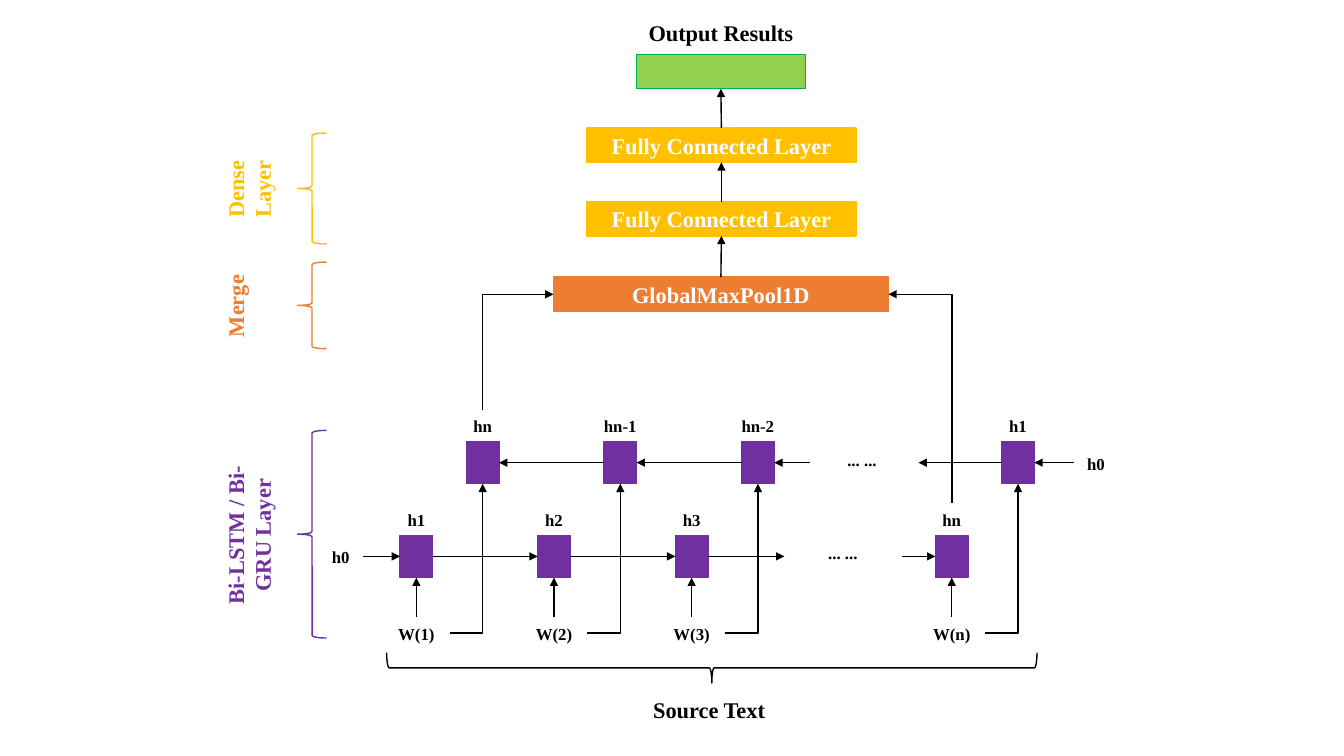
from typing import NamedTuple, Optional

from lxml.etree import SubElement
from pptx import Presentation
from pptx.dml.color import RGBColor
from pptx.enum.shapes import MSO_CONNECTOR as Link, MSO_SHAPE as Preset
from pptx.enum.text import MSO_ANCHOR as Anchor, MSO_AUTO_SIZE as AutoSize, PP_ALIGN as Align
from pptx.oxml.ns import qn
from pptx.util import Inches, Pt

# Grid: every column and row is a tenth of an inch
GRID = 0.1
COLUMNS, ROWS = 133.3, 75
FONT = "Times New Roman"
BLACK, WHITE, PURPLE = "000000", "FFFFFF", "7030A0"
ORANGE, GOLD, LIME, GREEN = "ED7D31", "FFC000", "92D050", "00B050"
TOP, LEFT, BOTTOM, RIGHT = range(4)


class Area(NamedTuple):
    column: float
    row: float
    columns: float
    rows: float


class Point(NamedTuple):
    column: float
    row: float


class Side(NamedTuple):
    shape: object
    site: int


class Bar(NamedTuple):
    area: Area
    fill: str
    line: str
    text: str = ""


class Layer(NamedTuple):
    text: str
    label: Area
    brace: Area
    color: str


class Step(NamedTuple):
    center: float
    word: str
    forward: str
    backward: str


def grid(*counts: float) -> list:
    return [Inches(count * GRID) for count in counts]


def color(value: str) -> RGBColor:
    return RGBColor.from_string(value)


def write(shape, text: str, size: float, ink: str, align=Align.CENTER) -> None:
    para = shape.text_frame.paragraphs[0]
    para.text = text
    para.alignment = align
    for span in para.runs:
        span.font.name, span.font.size, span.font.bold = FONT, Pt(size), True
        span.font.color.rgb = color(ink)


def add_label(text: str, area: Area, size: float = 12, ink: str = BLACK,
              align=Align.CENTER, upright: bool = False):
    box = page.shapes.add_textbox(*grid(*area))
    box.text_frame.word_wrap = True
    box.text_frame.auto_size = AutoSize.SHAPE_TO_FIT_TEXT
    if upright:
        box.element.txBody.bodyPr.set("vert", "vert270")
    write(box, text, size, ink, align)
    return box


def add_outline(preset, area: Area, line: str, fill: Optional[str] = None):
    shape = page.shapes.add_shape(preset, *grid(*area))
    shape.shadow.inherit = False
    if fill:
        shape.fill.solid()
        shape.fill.fore_color.rgb = color(fill)
    else:
        shape.fill.background()
    shape.line.color.rgb = color(line)
    shape.line.width = Pt(1)
    return shape


def add_bar(bar: Bar):
    shape = add_outline(Preset.RECTANGLE, bar.area, bar.line, bar.fill)
    if bar.text:
        shape.text_frame.vertical_anchor = Anchor.MIDDLE
        write(shape, bar.text, 16, WHITE)
    return shape


def style_arrow(arrow) -> None:
    arrow.line.color.rgb = color(BLACK)
    arrow.line.width = Pt(1)
    SubElement(arrow.line._get_or_add_ln(), qn("a:tailEnd"), type="triangle")
    SubElement(arrow.element.spPr, qn("a:effectLst"))


def add_arrow(start, end) -> None:
    """Draw a straight arrow; each end is a free point or a side of a shape."""
    first = grid(*start) if isinstance(start, Point) else [0, 0]
    last = grid(*end) if isinstance(end, Point) else [0, 0]
    arrow = page.shapes.add_connector(Link.STRAIGHT, *first, *last)
    if isinstance(start, Side):
        arrow.begin_connect(start.shape, start.site)
    if isinstance(end, Side):
        arrow.end_connect(end.shape, end.site)
    style_arrow(arrow)


def add_elbow(start: Point, end: Point, rise_first: bool = False) -> None:
    """Draw a one-corner arrow, turned a quarter when it rises first."""
    ends = [start, end]
    if rise_first:
        middle = Point((start.column + end.column) / 2, (start.row + end.row) / 2)
        ends = [Point(middle.column - (spot.row - middle.row),
                      middle.row + (spot.column - middle.column)) for spot in ends]
    arrow = page.shapes.add_connector(Link.ELBOW, *grid(*ends[0], *ends[1]))
    properties = arrow.element.spPr
    properties.find(qn("a:prstGeom")).set("prst", "bentConnector2")
    if rise_first:
        properties.find(qn("a:xfrm")).set("rot", str(270 * 60000))
    style_arrow(arrow)


deck = Presentation()
deck.slide_width, deck.slide_height = grid(COLUMNS, ROWS)
page = deck.slides.add_slide(deck.slide_layouts[6])

# Recurrent cells, one forward and one backward per word
CELL_WIDTH, CELL_HEIGHT = 3.24, 4.2
FORWARD_ROW, BACKWARD_ROW, WORD_ROW = 53.1, 43.8, 61.4
FIRST, PITCH, SHIFT = 41.3, 13.65, 6.57
LABEL_WIDTH, LABEL_HEIGHT = 6.6, 3
FORWARD_MIDDLE = FORWARD_ROW + CELL_HEIGHT / 2
BACKWARD_MIDDLE = BACKWARD_ROW + CELL_HEIGHT / 2
STEPS = [
    Step(FIRST, "W(1)", "h1", "hn"),
    Step(FIRST + PITCH, "W(2)", "h2", "hn-1"),
    Step(FIRST + 2 * PITCH, "W(3)", "h3", "hn-2"),
    Step(94.4, "W(n)", "hn", "h1"),
]


def add_cell(center: float, row: float, state: str):
    cell = add_bar(Bar(Area(center - CELL_WIDTH / 2, row, CELL_WIDTH, CELL_HEIGHT), PURPLE, PURPLE))
    add_label(state, Area(center - LABEL_WIDTH / 2, row - LABEL_HEIGHT, LABEL_WIDTH, LABEL_HEIGHT))
    return cell


forward, backward = [], []
for step in STEPS:
    forward.append(add_cell(step.center, FORWARD_ROW, step.forward))
    backward.append(add_cell(step.center + SHIFT, BACKWARD_ROW, step.backward))
    add_label(step.word, Area(step.center - LABEL_WIDTH / 2, WORD_ROW, LABEL_WIDTH, LABEL_HEIGHT))
    add_arrow(Point(step.center, 61.2), Side(forward[-1], BOTTOM))
    add_elbow(Point(step.center + LABEL_WIDTH / 2, 62.8),
              Point(step.center + SHIFT, BACKWARD_ROW + CELL_HEIGHT))

# Arrows along both chains, broken at the dots
for i in range(2):
    add_arrow(Side(forward[i], RIGHT), Side(forward[i + 1], LEFT))
    add_arrow(Side(backward[i + 1], LEFT), Side(backward[i], RIGHT))
add_arrow(Point(36, FORWARD_MIDDLE), Side(forward[0], LEFT))
add_arrow(Side(forward[2], RIGHT), Point(77.8, FORWARD_MIDDLE))
add_arrow(Point(89.5, FORWARD_MIDDLE), Side(forward[3], LEFT))
add_arrow(Point(106.5, BACKWARD_MIDDLE), Side(backward[3], RIGHT))
add_arrow(Side(backward[3], LEFT), Point(91.1, BACKWARD_MIDDLE))
add_arrow(Point(80.3, BACKWARD_MIDDLE), Side(backward[2], RIGHT))
add_label("h0", Area(31.6, 53.7, 4.4, LABEL_HEIGHT))
add_label("h0", Area(106.5, 44.5, 4.4, LABEL_HEIGHT))
add_label("... ...", Area(80.3, 53.4, LABEL_WIDTH, LABEL_HEIGHT))
add_label("... ...", Area(82.2, 44.1, LABEL_WIDTH, LABEL_HEIGHT))

# Stack from pooling up to the output
POOL = Area(54.9, 27.5, 33.2, 3.4)
STACK = [
    Bar(POOL, ORANGE, ORANGE, "GlobalMaxPool1D"),
    Bar(Area(58.2, 20, 26.7, 3.4), GOLD, GOLD, "Fully Connected Layer"),
    Bar(Area(58.2, 12.7, 26.7, 3.4), GOLD, GOLD, "Fully Connected Layer"),
    Bar(Area(63.1, 5.4, 16.8, 3.4), LIME, GREEN),
]
bars = [add_bar(bar) for bar in STACK]
for lower, upper in zip(bars, bars[1:]):
    add_arrow(Side(lower, TOP), Side(upper, BOTTOM))
pool_middle = POOL.row + POOL.rows / 2
add_elbow(Point(FIRST + SHIFT, 40.7), Point(POOL.column, pool_middle), rise_first=True)
add_elbow(Point(STEPS[3].center, 49.9), Point(POOL.column + POOL.columns, pool_middle), rise_first=True)
add_label("Output Results", Area(62, 1.4, 19, 3.7), 16)

# Braces with the layer names and the source text
LAYERS = [
    Layer("Dense Layer", Area(21.5, 12.1, 4.7, 13.3), Area(29.5, 13.2, 2.9, 11), GOLD),
    Layer("Merge", Area(21.5, 25.4, 4.7, 9.9), Area(29.5, 26, 2.9, 8.6), ORANGE),
    Layer("Bi-LSTM / Bi-GRU Layer", Area(21.5, 43.1, 7.4, 20), Area(29.5, 42.7, 2.9, 20.6), PURPLE),
]
for layer in LAYERS:
    add_outline(Preset.LEFT_BRACE, layer.brace, layer.color)
    add_label(layer.text, layer.label, 16, layer.color, upright=True)
source_brace = add_outline(Preset.LEFT_BRACE, Area(69.1, 34, 3, 64.5), BLACK)
source_brace.rotation = 270
add_label("Source Text", Area(63.8, 68.6, 13.7, 3.7), 16, align=Align.LEFT)

deck.save("out.pptx")
